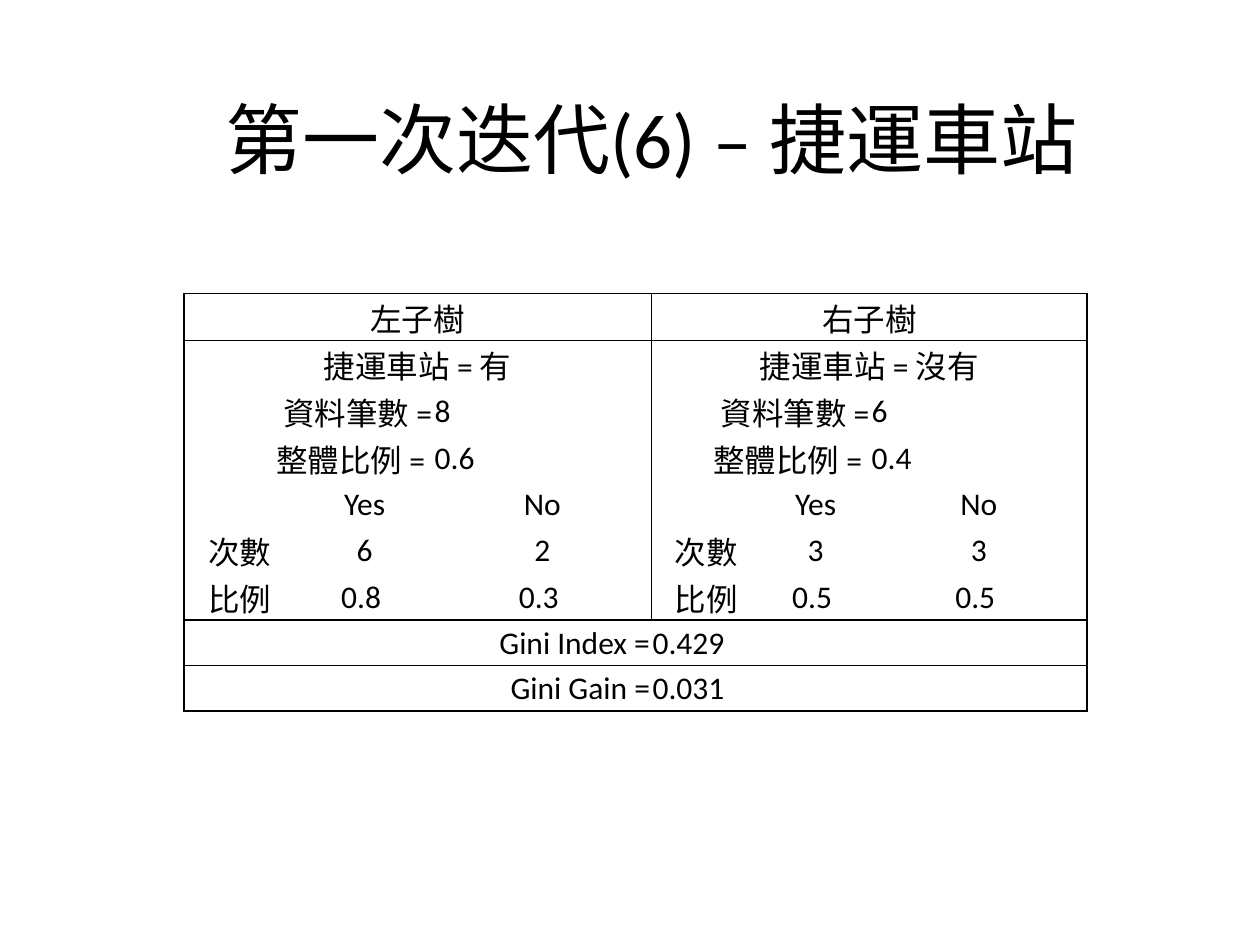
from dataclasses import dataclass

from lxml.etree import SubElement
from pptx import Presentation
from pptx.dml.color import RGBColor
from pptx.enum.text import MSO_ANCHOR, PP_ALIGN
from pptx.oxml.ns import qn
from pptx.util import Inches, Pt


@dataclass(frozen=True)
class Theme:
    """Colours, font and type sizes of the slide."""
    ink: str = "000000"
    font: str = "Calibri"
    title_size: int = 44
    table_size: int = 18
    line_width: int = 1


class SlideBuilder:
    """Places styled elements on one slide."""

    def __init__(self, presentation, theme):
        """Start a slide that has a title placeholder."""
        self.theme = theme
        self.slide = presentation.slides.add_slide(presentation.slide_layouts[5])

    def set_text(self, text_frame, text, size, alignment):
        """Put one styled paragraph in a text frame."""
        paragraph = text_frame.paragraphs[0]
        paragraph.text = text
        paragraph.alignment = alignment
        paragraph.font.name = self.theme.font
        paragraph.font.size = Pt(size)
        paragraph.font.color.rgb = RGBColor.from_string(self.theme.ink)

    def title(self, text, left, top, width, height):
        """Fill and move the title placeholder."""
        title = self.slide.shapes.title
        title.left, title.top = Inches(left), Inches(top)
        title.width, title.height = Inches(width), Inches(height)
        title.text_frame.vertical_anchor = MSO_ANCHOR.MIDDLE
        self.set_text(title.text_frame, text, self.theme.title_size, PP_ALIGN.CENTER)

    def table(self, left, top, column_widths, row_height, row_count):
        """Add a plain table with the given grid."""
        shape = self.slide.shapes.add_table(
            row_count, len(column_widths), Inches(left), Inches(top),
            Inches(sum(column_widths)), Inches(row_height * row_count))
        table = shape.table
        table.first_row = table.horz_banding = False
        for column, width in zip(table.columns, column_widths):
            column.width = Inches(width)
        for row in table.rows:
            row.height = Inches(row_height)
        for cell in table.iter_cells():
            cell.fill.background()
            cell.margin_left = cell.margin_right = cell.margin_top = Inches(0.01)
            cell.margin_bottom = 0
            cell.vertical_anchor = MSO_ANCHOR.MIDDLE
        return table

    def cell(self, table, row, column, text, span=1, alignment=PP_ALIGN.CENTER):
        """Fill a cell that may span several columns."""
        cell = table.cell(row, column)
        if span > 1:
            cell.merge(table.cell(row, column + span - 1))
        self.set_text(cell.text_frame, text, self.theme.table_size, alignment)

    def frame(self, table, first_row, last_row, first_column, last_column):
        """Draw borders round a block of cells and clear those inside."""
        for row in range(first_row, last_row + 1):
            for column in range(first_column, last_column + 1):
                cell = table.cell(row, column)
                span = cell.span_width if cell.is_merge_origin else 1
                self.borders(cell, {
                    "a:lnL": column == first_column,
                    "a:lnR": column + span - 1 == last_column,
                    "a:lnT": row == first_row,
                    "a:lnB": row == last_row})

    def borders(self, cell, edges):
        """Set each edge of a cell to a line or to none."""
        properties = cell._tc.get_or_add_tcPr()
        for position, (tag, visible) in enumerate(edges.items()):
            line = SubElement(properties, qn(tag), w=str(Pt(self.theme.line_width)))
            if visible:
                fill = SubElement(line, qn("a:solidFill"))
                SubElement(fill, qn("a:srgbClr"), val=self.theme.ink)
            else:
                SubElement(line, qn("a:noFill"))
            properties.insert(position, line)


SUBTREES = [
    ("左子樹", "捷運車站 = 有", "8", "0.6 ", ("6", "2"), ("0.8 ", "0.3 ")),
    ("右子樹", "捷運車站 = 沒有", "6", "0.4 ", ("3", "3"), ("0.5 ", "0.5 ")),
]
RESULTS = [("Gini Index =", "0.429 "), ("Gini Gain =", "0.031 ")]

presentation = Presentation()
presentation.slide_width, presentation.slide_height = Inches(10), Inches(7.5)
builder = SlideBuilder(presentation, Theme())
builder.title("第一次迭代(6) – 捷運車站", 0.67, 0.47, 9, 1.25)
table = builder.table(1.46, 2.33, [0.89, 1.09, 1.73, 0.87, 0.87, 1.72], 0.36, 9)

for index, (name, condition, count, share, counts, ratios) in enumerate(SUBTREES):
    start = 3 * index
    builder.cell(table, 0, start, name, 3)
    builder.cell(table, 1, start, condition, 3)
    for row, label, value in [(2, "資料筆數 =", count), (3, "整體比例 = ", share)]:
        builder.cell(table, row, start, label, 2, PP_ALIGN.RIGHT)
        builder.cell(table, row, start + 2, value, 1, PP_ALIGN.LEFT)
    class_rows = [("", "Yes", "No"), ("次數", *counts), ("比例", *ratios)]
    for row, texts in enumerate(class_rows, 4):
        for offset, text in enumerate(texts):
            builder.cell(table, row, start + offset, text)
    builder.frame(table, 0, 0, start, start + 2)
    builder.frame(table, 1, 6, start, start + 2)

for row, (label, value) in enumerate(RESULTS, 7):
    builder.cell(table, row, 0, label, 3, PP_ALIGN.RIGHT)
    builder.cell(table, row, 3, value, 3, PP_ALIGN.LEFT)
    builder.frame(table, row, row, 0, 5)

presentation.save("out.pptx")
